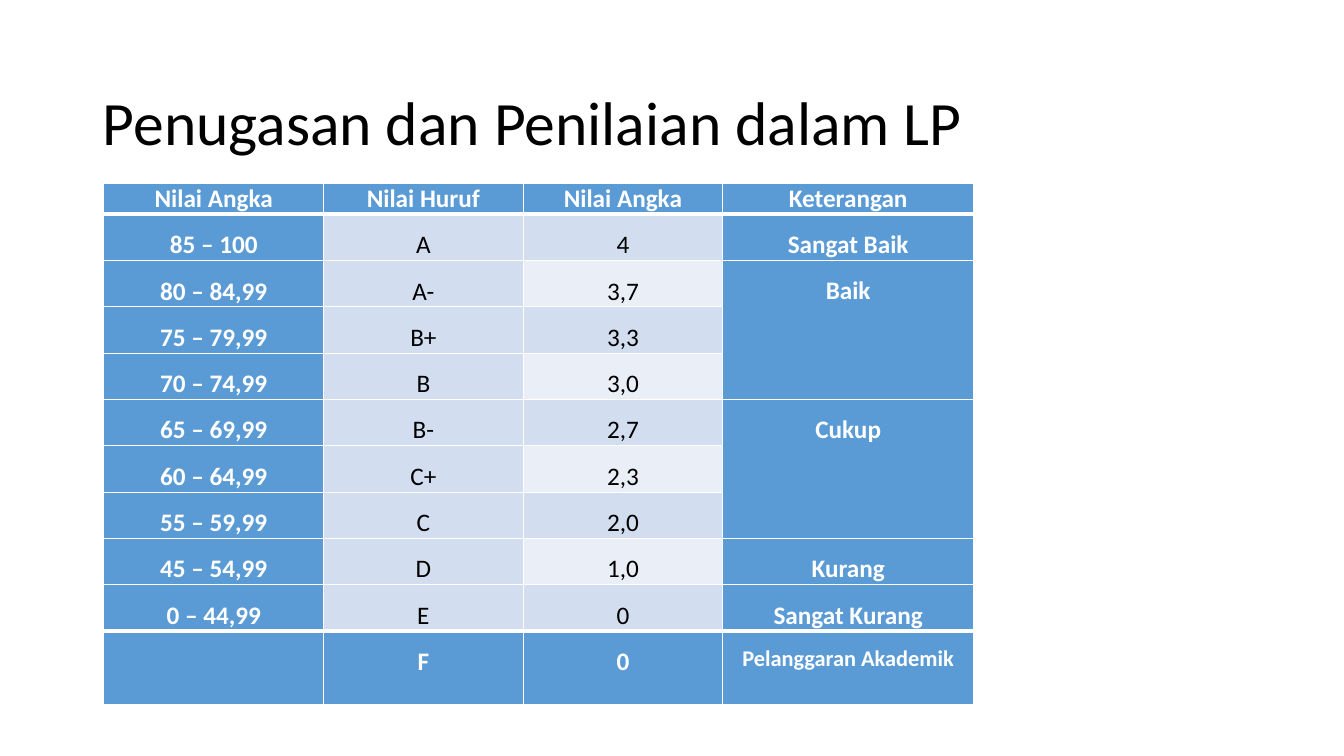
from lxml.etree import SubElement
from pptx import Presentation
from pptx.dml.color import RGBColor
from pptx.enum.text import MSO_ANCHOR, PP_ALIGN
from pptx.oxml.ns import qn
from pptx.util import Inches, Pt

COLORS = {"white": "FFFFFF", "black": "000000", "blue": "5B9BD5",
          "band": "D2DEEF", "pale": "EAEFF7"}
HEADER = ["Nilai Angka", "Nilai Huruf", "Nilai Angka", "Keterangan"]
GRADES = [
    ["85 – 100", "A", "4", "Sangat Baik"],
    ["80 – 84,99", "A-", "3,7", "Baik"],
    ["75 – 79,99", "B+", "3,3", ""],
    ["70 – 74,99", "B", "3,0", ""],
    ["65 – 69,99", "B-", "2,7", "Cukup"],
    ["60 – 64,99", "C+", "2,3", ""],
    ["55 – 59,99", "C", "2,0", ""],
    ["45 – 54,99", "D", "1,0", "Kurang"],
    ["0 – 44,99", "E", "0", "Sangat Kurang"],
]
FOOTER = ["", "F", "0", "Pelanggaran Akademik"]
MERGES = [(2, 4), (5, 7)]
COL_WIDTHS = [16.35, 14.85, 14.85, 18.68]
ROW_HEIGHTS = [4] + [6.13] * len(GRADES) + [9.73]


class GradeSlide:
    """Builds one slide on a grid of 100 columns by 100 rows."""

    def __init__(self, prs, font="Calibri"):
        self.prs, self.font = prs, font
        self.s = prs.slides.add_slide(prs.slide_layouts[5])

    def x(self, cols):
        return int(self.prs.slide_width * cols / 100)

    def y(self, rows):
        return int(self.prs.slide_height * rows / 100)

    def run(self, p, text, size, color, bold=False):
        r = p.add_run()
        r.text = text
        r.font.name, r.font.size, r.font.bold = self.font, Pt(size), bold
        r.font.color.rgb = RGBColor.from_string(COLORS[color])

    def title(self, text, left, top, width, height):
        sp = self.s.shapes.title
        sp.left, sp.top = self.x(left), self.y(top)
        sp.width, sp.height = self.x(width), self.y(height)
        tf = sp.text_frame
        tf.word_wrap = True
        tf.vertical_anchor = MSO_ANCHOR.MIDDLE
        p = tf.paragraphs[0]
        p.alignment, p.line_spacing = PP_ALIGN.LEFT, 0.9
        self.run(p, text, 44, "black")

    def borders(self, cell, top, bottom):
        tc_pr = cell._tc.get_or_add_tcPr()
        for side, width in zip("LRTB", (1, 1, top, bottom)):
            ln = SubElement(tc_pr, qn(f"a:ln{side}"), w=str(Pt(width)))
            fill = SubElement(ln, qn("a:solidFill"))
            SubElement(fill, qn("a:srgbClr"), val=COLORS["white"])

    def cell(self, cell, text, row, col, last):
        edge = row in (0, last)
        strong = edge or col in (0, 3)
        self.borders(cell, 3 if row in (1, last) else 1,
                     3 if row in (0, last - 1) else 1)
        shade = "pale" if col == 2 and row % 2 == 0 else "band"
        cell.fill.solid()
        cell.fill.fore_color.rgb = RGBColor.from_string(
            COLORS["blue" if strong else shade])
        cell.margin_left = cell.margin_right = Inches(0.07)
        cell.margin_top = cell.margin_bottom = 0
        middle = row == 0 or (row < 6 and col < 3)
        cell.vertical_anchor = MSO_ANCHOR.MIDDLE if middle else MSO_ANCHOR.TOP
        if text:
            p = cell.text_frame.paragraphs[0]
            p.alignment = PP_ALIGN.CENTER
            p.line_spacing = 1.5 if row else 1.0
            self.run(p, text, 16 if (row, col) == (last, 3) else 18,
                     "white" if strong else "black", strong)

    def table(self, rows, left, top, widths, heights, merges):
        tbl = self.s.shapes.add_table(
            len(rows), len(widths), self.x(left), self.y(top),
            self.x(sum(widths)), self.y(sum(heights))).table
        for column, width in zip(tbl.columns, widths):
            column.width = self.x(width)
        for row, height in zip(tbl.rows, heights):
            row.height = self.y(height)
        for i, texts in enumerate(rows):
            for j, text in enumerate(texts):
                self.cell(tbl.cell(i, j), text, i, j, len(rows) - 1)
        for first, final in merges:
            tbl.cell(first, 3).merge(tbl.cell(final, 3))


def main():
    prs = Presentation()
    prs.slide_width, prs.slide_height = Inches(13.33), Inches(7.5)
    slide = GradeSlide(prs)
    slide.title("Penugasan dan Penilaian dalam LP", 6.9, 6.93, 86.26, 19.33)
    slide.table([HEADER, *GRADES, FOOTER], 7.73, 24.27,
                COL_WIDTHS, ROW_HEIGHTS, MERGES)
    prs.save("out.pptx")


if __name__ == "__main__":
    main()
